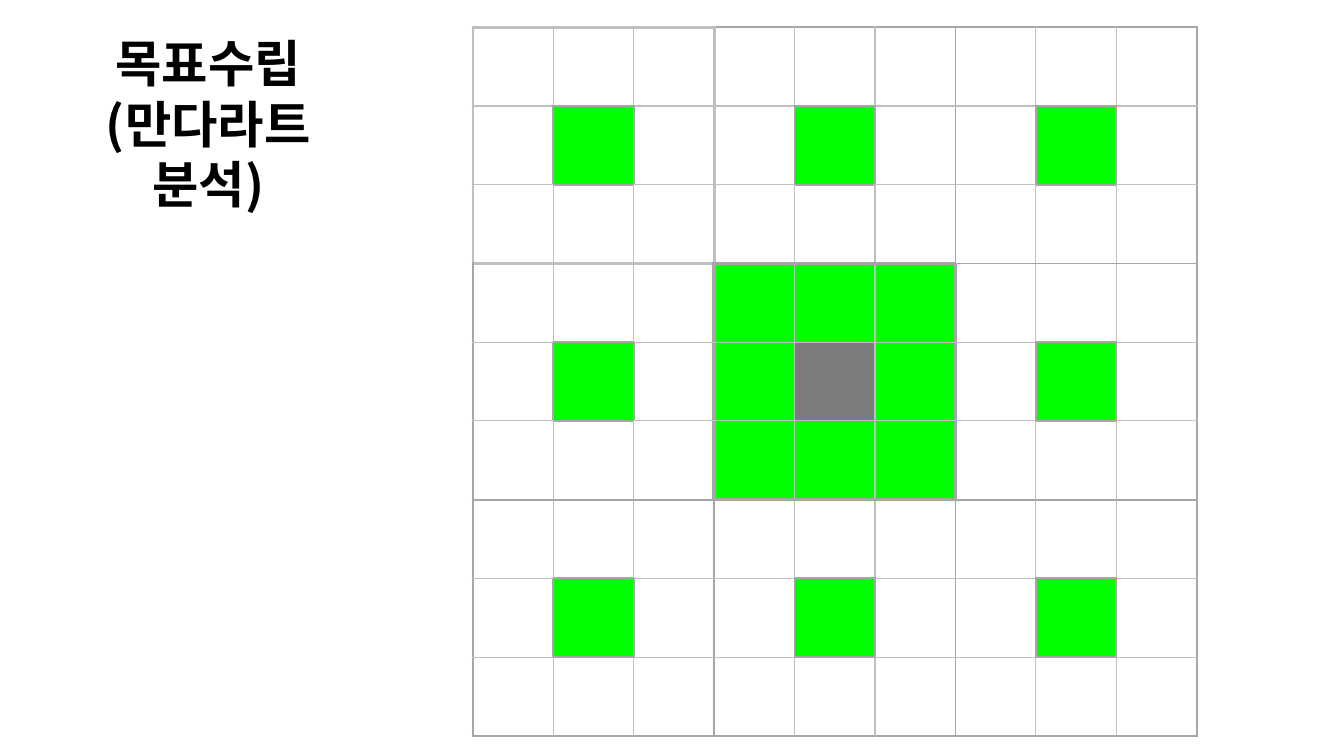
import pptx
import pptx.util
import pptx.dml.color
import pptx.enum.text
import pptx.oxml.ns
import lxml.etree

Inches, Pt = pptx.util.Inches, pptx.util.Pt
FONT = "Noto Sans CJK KR"
GREEN, GRAY = "00FF00", "7C7C7C"
THIN, MEDIUM = ("BFBFBF", 1), ("A6A6A6", 1.5)
FIRST_BLOCK, CENTER_BLOCK = ("BFBFBF", 2.25), ("A6A6A6", 3)
BLOCKS, SIZE = 3, 9


def color(value):
    return pptx.dml.color.RGBColor.from_string(value)


def add_border(cell, side, line):
    """Append one border; sides must be added in the order L, R, T, B."""
    properties = cell._tc.get_or_add_tcPr()
    border = lxml.etree.SubElement(properties, pptx.oxml.ns.qn("a:ln" + side),
                                   w=str(Pt(line[1])))
    fill = lxml.etree.SubElement(border, pptx.oxml.ns.qn("a:solidFill"))
    lxml.etree.SubElement(fill, pptx.oxml.ns.qn("a:srgbClr"), val=line[0])


presentation = pptx.Presentation()
presentation.slide_width, presentation.slide_height = Inches(13.33), Inches(7.5)
slide = presentation.slides.add_slide(presentation.slide_layouts[5])

# Title
title = slide.shapes.title
title.left, title.top = Inches(0.44), Inches(0.27)
title.width, title.height = Inches(3.25), Inches(1.31)
frame = title.text_frame
frame.text = "목표수립\n(만다라트 분석)"
frame.word_wrap = True
frame.auto_size = pptx.enum.text.MSO_AUTO_SIZE.SHAPE_TO_FIT_TEXT
frame.vertical_anchor = pptx.enum.text.MSO_ANCHOR.TOP
for paragraph in frame.paragraphs:
    paragraph.alignment = pptx.enum.text.PP_ALIGN.CENTER
    for run in paragraph.runs:
        run.font.name, run.font.size, run.font.bold = FONT, Pt(36), True
        run.font.color.rgb = color("000000")
        lxml.etree.SubElement(run.font._element, pptx.oxml.ns.qn("a:ea"), typeface=FONT)

# Mandalart grid: 3 by 3 blocks of 3 by 3 cells
mandalart = slide.shapes.add_table(SIZE, SIZE, Inches(4.69), Inches(0.27),
                                   Inches(7.18), Inches(7.03)).table
mandalart.first_row = mandalart.horz_banding = False

# Line of every cell edge, keyed by direction, row and column;
# later, stronger outlines replace earlier ones
edges = {}
outlines = [(row, col, 1, THIN) for row in range(SIZE) for col in range(SIZE)]
for top in range(0, SIZE, BLOCKS):
    for left in range(0, SIZE, BLOCKS):
        outlines += [(top, left, BLOCKS, MEDIUM), (top + 1, left + 1, 1, MEDIUM)]
outlines += [(0, 0, BLOCKS, FIRST_BLOCK), (3, 3, BLOCKS, CENTER_BLOCK), (4, 4, 1, THIN)]
for top, left, span, line in outlines:
    for step in range(span):
        for end in (0, span):
            edges["across", top + end, left + step] = line
            edges["down", top + step, left + end] = line

# Fills and borders
for row in range(SIZE):
    for col in range(SIZE):
        cell = mandalart.cell(row, col)
        add_border(cell, "L", edges["down", row, col])
        add_border(cell, "R", edges["down", row, col + 1])
        add_border(cell, "T", edges["across", row, col])
        add_border(cell, "B", edges["across", row + 1, col])
        in_center_block = row // BLOCKS == col // BLOCKS == 1
        is_block_center = row % BLOCKS == col % BLOCKS == 1
        if in_center_block or is_block_center:
            cell.fill.solid()
            cell.fill.fore_color.rgb = color(GRAY if row == col == 4 else GREEN)
        else:
            cell.fill.background()

presentation.save("out.pptx")
